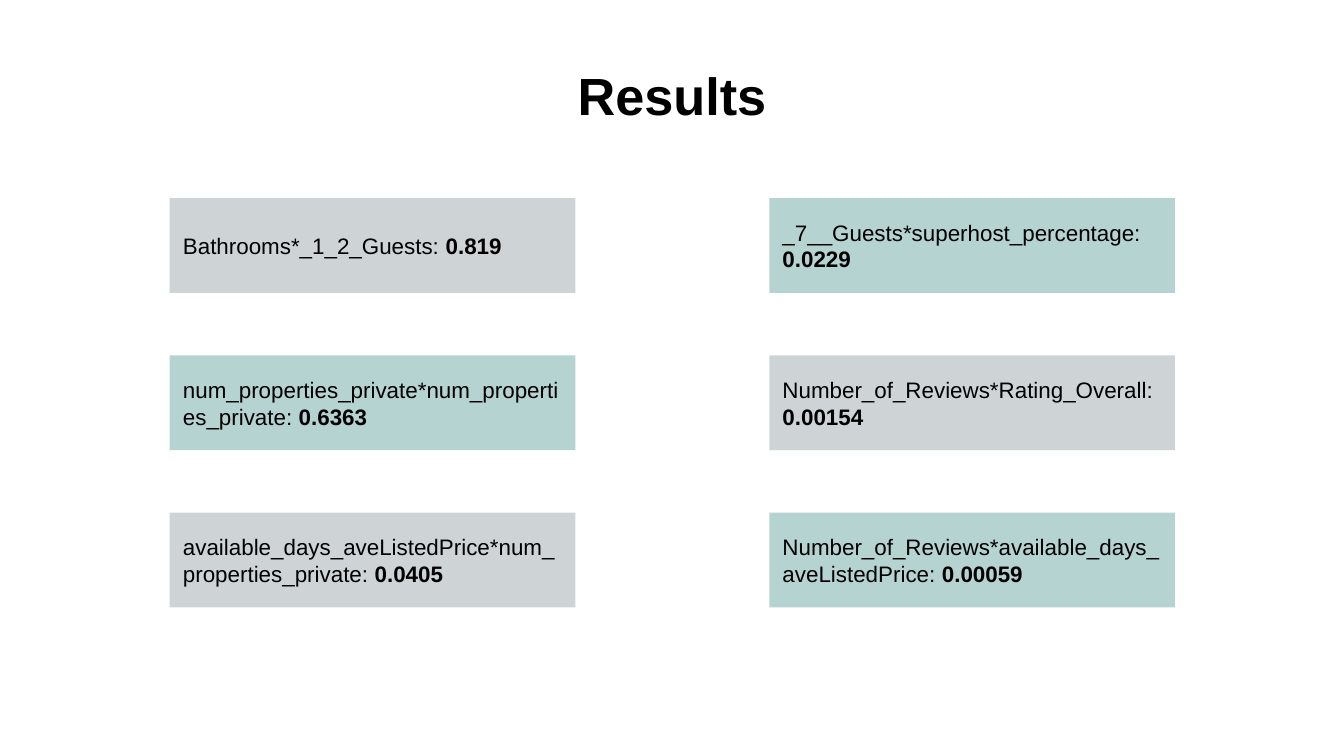
import dataclasses

import pptx
import pptx.dml.color
import pptx.enum.shapes
import pptx.enum.text
import pptx.util

Pt = pptx.util.Pt
Color = pptx.dml.color.RGBColor
Align = pptx.enum.text.PP_ALIGN


@dataclasses.dataclass(frozen=True)
class Theme:
    font: str = "Arial"
    text: Color = Color(0x00, 0x00, 0x00)
    gray: Color = Color(0xCE, 0xD4, 0xD5)
    teal: Color = Color(0xB5, 0xD3, 0xD1)
    title_size: int = 28
    body_size: int = 12
    inset: float = 7.2


THEME = Theme()

# Interaction terms and their coefficients, one list per column
COLUMNS = [
    [
        ("Bathrooms*_1_2_Guests", "0.819"),
        ("num_properties_private*num_properties_private", "0.6363"),
        ("available_days_aveListedPrice*num_properties_private", "0.0405"),
    ],
    [
        ("_7__Guests*superhost_percentage", "0.0229"),
        ("Number_of_Reviews*Rating_Overall", "0.00154"),
        ("Number_of_Reviews*available_days_aveListedPrice", "0.00059"),
    ],
]

# Card grid, in points
GRID_LEFT, GRID_TOP = 90.9, 106.2
COLUMN_STEP, ROW_STEP = 321.2, 84.25
CARD_WIDTH, CARD_HEIGHT = 217.4, 50.75


def prepare_text(box, size, align):
    """Set the frame and paragraph defaults; return the first paragraph."""
    frame = box.text_frame
    frame.word_wrap = True
    frame.vertical_anchor = pptx.enum.text.MSO_ANCHOR.MIDDLE
    frame.margin_left = frame.margin_right = Pt(THEME.inset)
    frame.margin_top = frame.margin_bottom = Pt(THEME.inset)
    para = frame.paragraphs[0]
    para.alignment = align
    para.font.name = THEME.font
    para.font.size = Pt(size)
    para.font.color.rgb = THEME.text
    return para


def add_title(page, text):
    box = page.shapes.add_textbox(Pt(36), Pt(36), Pt(648), Pt(29.5))
    para = prepare_text(box, THEME.title_size, Align.CENTER)
    para.font.bold = True
    para.add_run().text = text


def add_card(page, left, top, fill, term, value):
    box = page.shapes.add_shape(
        pptx.enum.shapes.MSO_SHAPE.RECTANGLE,
        Pt(left), Pt(top), Pt(CARD_WIDTH), Pt(CARD_HEIGHT),
    )
    box.shadow.inherit = False
    box.fill.solid()
    box.fill.fore_color.rgb = fill
    box.line.fill.background()
    para = prepare_text(box, THEME.body_size, Align.LEFT)
    para.add_run().text = f"{term}: "
    span = para.add_run()
    span.text = value
    span.font.bold = True


def main():
    deck = pptx.Presentation()
    deck.slide_width, deck.slide_height = Pt(720), Pt(405)
    page = deck.slides.add_slide(deck.slide_layouts[6])

    add_title(page, "Results")

    # Cards alternate in colour like a checkerboard
    fills = (THEME.gray, THEME.teal)
    for column, cards in enumerate(COLUMNS):
        for row, (term, value) in enumerate(cards):
            left = GRID_LEFT + column * COLUMN_STEP
            top = GRID_TOP + row * ROW_STEP
            add_card(page, left, top, fills[(row + column) % 2], term, value)

    deck.save("out.pptx")


if __name__ == "__main__":
    main()
